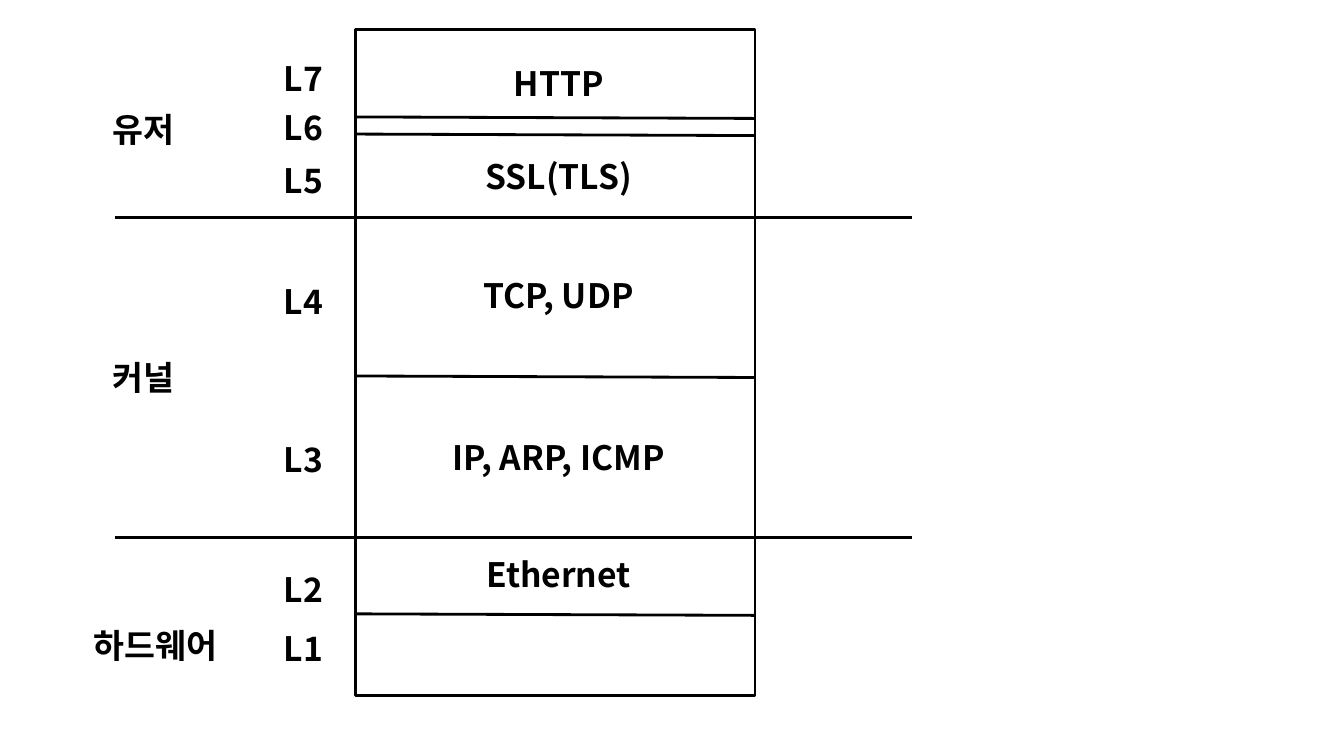
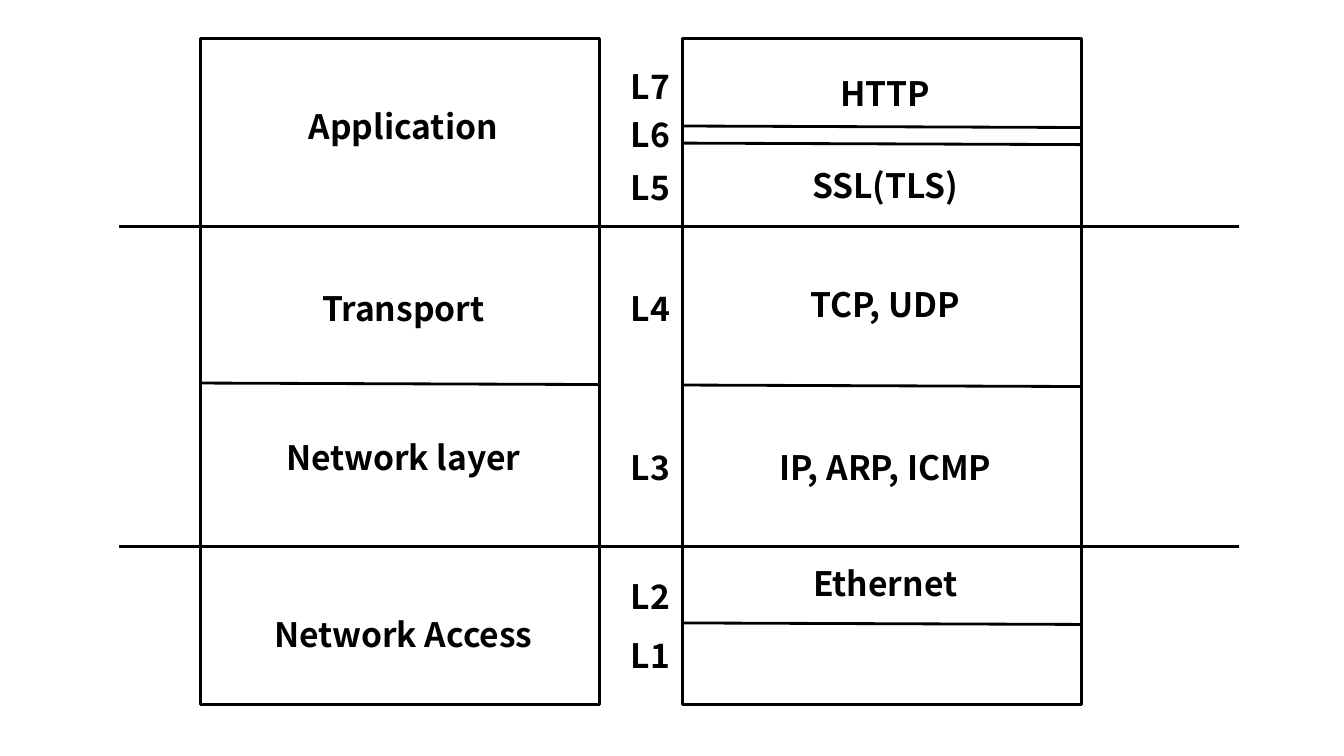
from lxml.etree import SubElement
from pptx import Presentation
from pptx.dml.color import RGBColor
from pptx.enum.shapes import MSO_CONNECTOR, MSO_SHAPE
from pptx.enum.text import MSO_AUTO_SIZE, PP_ALIGN
from pptx.oxml.ns import qn
from pptx.util import Inches, Pt

BLACK = RGBColor(0, 0, 0)
FONT = "Noto Sans CJK KR"
SIZE = Pt(24)
STROKE = Pt(2)
WIDE, TALL = 3.96, 6.61
TILT = 0.015
BANDS = (1.87, 5.04)
RULES = (0.87, 1.04, 3.44, 5.8)
LEVELS = (("L7", 0.24), ("L6", 0.72), ("L5", 1.25), ("L4", 2.45),
          ("L3", 4.02), ("L2", 5.3), ("L1", 5.89))
STACK = (("HTTP", 0.29, 1.44), ("SSL(TLS)", 1.21, 1.88),
         ("TCP, UDP", 2.39, 1.88), ("IP, ARP, ICMP", 4, 2.41),
         ("Ethernet", 5.16, 2.41))
MODEL = (("Application", 0.62, 2.12), ("Transport", 2.43, 2.12),
         ("Network layer", 3.91, 2.66), ("Network Access", 5.66, 3.04))
ZONES = (("유저", 1.42, 1.03, 1.44), ("커널", 1.42, 3.49, 1.44),
         ("하드웨어", 1.54, 6.15, 1.67))


def add_text(slide, text, mid, top, width):
    box = slide.shapes.add_textbox(Inches(mid - width / 2), Inches(top),
                                   Inches(width), Inches(0.5))
    frame = box.text_frame
    frame.word_wrap = True
    frame.auto_size = MSO_AUTO_SIZE.SHAPE_TO_FIT_TEXT
    para = frame.paragraphs[0]
    para.alignment = PP_ALIGN.CENTER
    run = para.add_run()
    run.text = text
    font = run.font
    font.size, font.bold, font.name = SIZE, True, FONT
    font.color.rgb = BLACK
    SubElement(run._r.get_or_add_rPr(), qn("a:ea"), typeface=FONT)


def add_line(slide, left, right, top, drop=0):
    line = slide.shapes.add_connector(
        MSO_CONNECTOR.STRAIGHT, Inches(left), Inches(top),
        Inches(right), Inches(top + drop))
    line.line.color.rgb = BLACK
    line.line.width = STROKE
    SubElement(line._element.spPr, qn("a:effectLst"))


def add_stack(slide, left, top, rules, names):
    box = slide.shapes.add_shape(MSO_SHAPE.RECTANGLE, Inches(left),
                                 Inches(top), Inches(WIDE), Inches(TALL))
    box.shadow.inherit = False
    box.fill.background()
    box.line.color.rgb = BLACK
    box.line.width = STROKE
    for rule in rules:
        add_line(slide, left, left + WIDE, top + rule, TILT)
    for text, drop, width in names:
        add_text(slide, text, left + WIDE / 2 + 0.03, top + drop, width)


def add_bands(slide, left, right, top):
    for band in BANDS:
        add_line(slide, left, right, top + band)


def add_levels(slide, mid, top):
    for text, drop in LEVELS:
        add_text(slide, text, mid, top + drop, 0.76)


def add_osi(deck):
    slide = deck.slides.add_slide(deck.slide_layouts[6])
    add_bands(slide, 1.14, 9.05, 0.29)
    add_stack(slide, 3.53, 0.29, RULES, STACK)
    add_levels(slide, 3.01, 0.29)
    for zone in ZONES:
        add_text(slide, *zone)


def add_match(deck):
    slide = deck.slides.add_slide(deck.slide_layouts[6])
    add_bands(slide, 1.18, 12.29, 0.38)
    add_stack(slide, 6.77, 0.38, RULES, STACK)
    add_stack(slide, 1.99, 0.38, (3.42,), MODEL)
    add_levels(slide, 6.45, 0.36)


def main():
    deck = Presentation()
    deck.slide_width, deck.slide_height = Inches(13.33), Inches(7.5)
    add_osi(deck)
    add_match(deck)
    deck.save("out.pptx")


if __name__ == "__main__":
    main()
